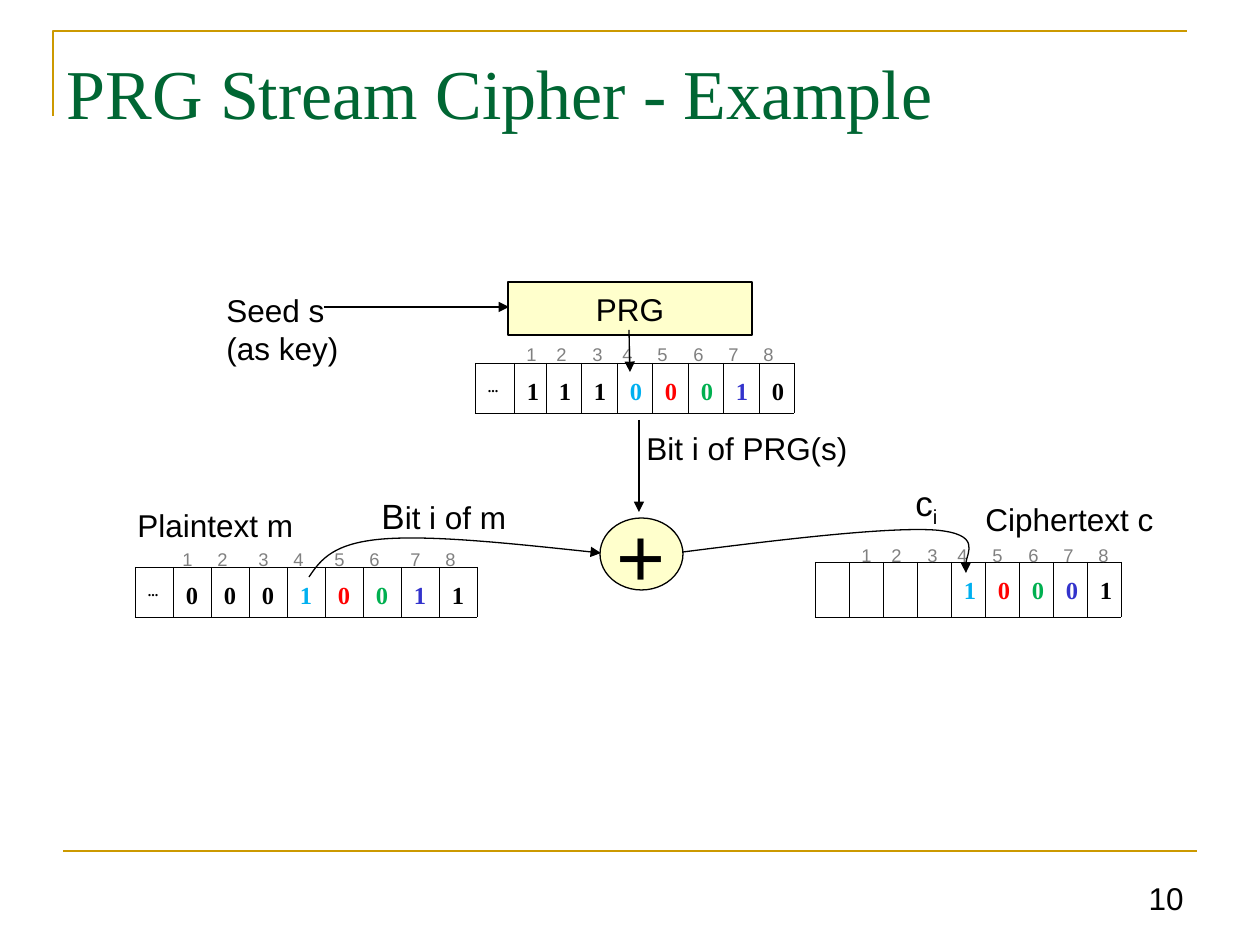
from lxml.etree import SubElement
from pptx import Presentation
from pptx.dml.color import RGBColor
from pptx.enum.shapes import MSO_CONNECTOR, MSO_SHAPE
from pptx.enum.text import MSO_ANCHOR, MSO_AUTO_SIZE, PP_ALIGN
from pptx.oxml.ns import qn
from pptx.util import Pt

PX = 914400 / 126
BLACK = RGBColor(0x00, 0x00, 0x00)
GREY = RGBColor(0x80, 0x80, 0x80)
GOLD = RGBColor(0xCC, 0x99, 0x00)
CREAM = RGBColor(0xFF, 0xFF, 0xCC)
DARK_GREEN = RGBColor(0x00, 0x66, 0x33)
CYAN = RGBColor(0x00, 0xB0, 0xF0)
RED = RGBColor(0xFF, 0x00, 0x00)
GREEN = RGBColor(0x00, 0xB0, 0x50)
BLUE = RGBColor(0x33, 0x33, 0xCC)
BIT_COLORS = [BLACK] * 4 + [CYAN, RED, GREEN, BLUE, BLACK]
NARROW_TABS = [30, 66, 96, 131, 167, 202, 237]
WIDE_TABS = [35, 76, 111, 152, 187, 228, 263]


def emu(*lengths):
    return [round(n * PX) for n in lengths]


def set_font(font, size, color=BLACK, name="Arial", bold=False):
    font.name, font.size, font.bold = name, Pt(size), bold
    font.color.rgb = color


def style_line(shape, color=BLACK, width=0.75, arrow=False):
    shape.line.color.rgb = color
    shape.line.width = Pt(width)
    if arrow:
        SubElement(shape.line._get_or_add_ln(), qn("a:tailEnd"), type="triangle")


def add_line(s, x1, y1, x2, y2, **style):
    line = s.shapes.add_connector(MSO_CONNECTOR.STRAIGHT, *emu(x1, y1, x2, y2))
    SubElement(line._element.spPr, qn("a:effectLst"))
    style_line(line, **style)


def add_outline(s, points, **style):
    """Open, unfilled path through the points."""
    builder = s.shapes.build_freeform(*points[0], scale=PX)
    builder.add_line_segments(points[1:], close=False)
    sp = builder.convert_to_shape()
    sp.fill.background()
    sp.shadow.inherit = False
    style_line(sp, **style)
    return sp


def add_curve_arrow(s, points):
    """Bezier arrow: a start point, then three points for each segment."""
    sp = add_outline(s, points, arrow=True)
    ends = list(sp._element.iter(qn("a:lnTo")))
    path = ends[0].getparent()
    for i in range(0, len(ends), 3):
        curve = SubElement(path, qn("a:cubicBezTo"))
        for end in ends[i:i + 3]:
            curve.append(end[0])
            path.remove(end)


def add_label(s, box, *lines, size=18, color=BLACK, wrap=False):
    tf = s.shapes.add_textbox(*emu(*box)).text_frame
    tf.word_wrap = wrap
    for i, line in enumerate(lines):
        p = tf.add_paragraph() if i else tf.paragraphs[0]
        p.text = line
        set_font(p.font, size, color)
    return tf


def add_node(s, kind, box, text, size):
    sp = s.shapes.add_shape(kind, *emu(*box))
    sp.shadow.inherit = False
    sp.fill.solid()
    sp.fill.fore_color.rgb = CREAM
    style_line(sp)
    tf = sp.text_frame
    tf.word_wrap = False
    tf.vertical_anchor = MSO_ANCHOR.MIDDLE
    p = tf.paragraphs[0]
    p.text = text
    p.alignment = PP_ALIGN.CENTER
    set_font(p.font, size)


def add_cell_borders(cell):
    tcPr = cell._tc.get_or_add_tcPr()
    for side in ("a:lnL", "a:lnR", "a:lnT", "a:lnB"):
        ln = SubElement(tcPr, qn(side), w=str(Pt(0.1)))
        fill = SubElement(ln, qn("a:solidFill"))
        SubElement(fill, qn("a:srgbClr"), val=str(BLACK))


def add_register(s, x, y, height, widths, bits, index_box, tabs):
    """Row of bits with the index numbers 1 to 8 above it."""
    frame = s.shapes.add_table(1, len(widths), *emu(x, y, sum(widths), height))
    table = frame.table
    table.first_row = table.horz_banding = False
    for column, cell, width, bit, color in zip(
            table.columns, table.rows[0].cells, widths, bits, BIT_COLORS):
        column.width, = emu(width)
        add_cell_borders(cell)
        cell.fill.background()
        cell.margin_left, cell.margin_right, cell.margin_top, cell.margin_bottom = emu(13, 13, 20, 6)
        p = cell.text_frame.paragraphs[0]
        p.text = bit
        p.line_spacing, p.space_before = 0.8, Pt(3.5)
        set_font(p.font, 8 if bit == "..." else 14, color, "Times New Roman", True)

    tf = add_label(s, index_box, "\t".join("12345678"), size=10.5, color=GREY, wrap=True)
    tab_list = SubElement(tf.paragraphs[0]._p.get_or_add_pPr(), qn("a:tabLst"))
    for pos in emu(*tabs):
        SubElement(tab_list, qn("a:tab"), pos=str(pos), algn="l")
    # Tab stops come before the default run properties
    tab_list.getparent().insert(0, tab_list)


def add_frame(s):
    add_outline(s, [(53, 116), (53, 31), (1187, 31)], color=GOLD, width=1.5)
    add_line(s, 63, 851, 1197, 851, color=GOLD, width=1.5)
    tf = add_label(s, (1123, 861, 73, 62), "10", wrap=True)
    tf.vertical_anchor = MSO_ANCHOR.BOTTOM
    tf.paragraphs[0].alignment = PP_ALIGN.RIGHT


def add_title(s, box, text):
    title = s.shapes.title
    title.left, title.top, title.width, title.height = emu(*box)
    tf = title.text_frame
    tf.auto_size = MSO_AUTO_SIZE.NONE
    tf.vertical_anchor = MSO_ANCHOR.MIDDLE
    p = tf.paragraphs[0]
    p.text = text
    p.alignment = PP_ALIGN.LEFT
    set_font(p.font, 40, DARK_GREEN, "Times New Roman")


def add_generator(s):
    add_label(s, (214, 285, 139, 89), "Seed s", "(as key)")
    add_node(s, MSO_SHAPE.RECTANGLE, (508, 282, 244, 53), "PRG", 18)
    add_line(s, 324, 307, 509, 307, arrow=True)
    add_register(s, 475, 363, 50, [39, 32, 35, 36, 35, 36, 35, 36, 35],
                 ["...", *"11100010"], (514, 337, 281, 35), NARROW_TABS)
    add_line(s, 629, 330, 630, 372, arrow=True)
    add_label(s, (634, 423, 228, 52), "Bit i of PRG(s)")
    add_line(s, 639, 420, 639, 512, arrow=True)


def add_plaintext(s):
    add_label(s, (125, 500, 183, 52), "Plaintext m")
    tf = add_label(s, (369, 488, 229, 55), "B")
    p = tf.paragraphs[0]
    p.runs[0].font.size = Pt(20)
    p.add_run().text = "it i of m"
    add_register(s, 135, 567, 50, [38] * 9, ["...", *"00010011"],
                 (170, 542, 306, 35), WIDE_TABS)
    add_curve_arrow(s, [(309, 577), (321, 559), (334, 543), (383, 539),
                        (432, 535), (517, 544), (601, 553)])


def add_ciphertext(s):
    add_label(s, (973, 494, 195, 52), "Ciphertext c")
    tf = add_label(s, (903, 475, 48, 55), "c", size=20)
    r = tf.paragraphs[0].add_run()
    r.text = "i"
    r.font._element.set("baseline", "-25000")
    add_register(s, 815, 562, 55, [34] * 9, [""] * 4 + list("10001"),
                 (849, 538, 281, 35), NARROW_TABS)
    add_curve_arrow(s, [(683, 552), (785, 539), (887, 527), (935, 530),
                        (982, 534), (961, 567), (966, 573)])


def main():
    prs = Presentation()
    prs.slide_width, prs.slide_height = emu(1260, 945)
    s = prs.slides.add_slide(prs.slide_layouts[5])
    add_frame(s)
    add_title(s, (54, 38, 1187, 107), "PRG Stream Cipher - Example")
    add_node(s, MSO_SHAPE.OVAL, (600, 518, 83, 72), "+", 48)
    add_generator(s)
    add_plaintext(s)
    add_ciphertext(s)
    prs.save("out.pptx")


if __name__ == "__main__":
    main()
